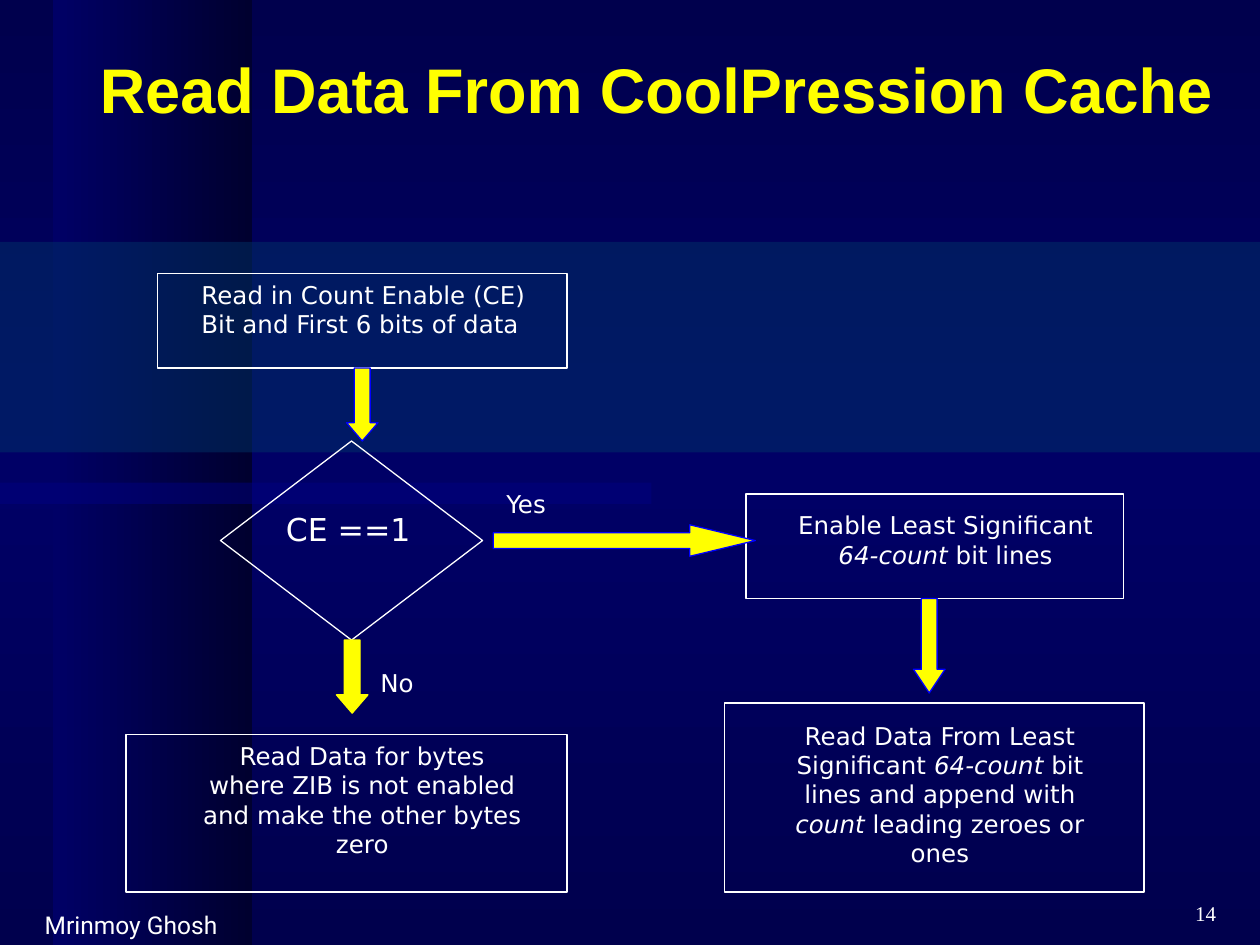
"""Build the flowchart slide on reading data from a CoolPression cache."""
from lxml.etree import SubElement
from pptx import Presentation
from pptx.dml.color import RGBColor
from pptx.enum.shapes import MSO_SHAPE
from pptx.enum.text import MSO_ANCHOR, MSO_AUTO_SIZE, PP_ALIGN
from pptx.oxml.ns import qn
from pptx.util import Inches, Pt

THEME = dict(
    white="FFFFFF", yellow="FFFF00", blue="0000FF", edge="00004D", middle="000066",
    dark="00002F", stripe="000080", band="003366",
    title_font="Arial", body_font="DejaVu Sans", footer_font="Roboto", number_font="Times New Roman",
    title_size=36, decision_size=18, body_size=14, number_size=12, line=0.75,
)

TITLE = "Read Data From CoolPression Cache"
TITLE_AT = (0.33, 0.08, 9.5, 1.25)
COLUMN_AT = (0.42, 0, 1.58, 7.5)
BANDS = [("stripe", (0, 3.83, 5.17, 0.17)), ("band", (0, 1.92, 10, 1.67))]

NODES = [
    (MSO_SHAPE.RECTANGLE, (1.25, 2.17, 3.25, 0.75)),
    (MSO_SHAPE.FLOWCHART_DECISION, (1.75, 3.5, 2.08, 1.58)),
    (MSO_SHAPE.RECTANGLE, (5.92, 3.92, 3, 0.83)),
    (MSO_SHAPE.RECTANGLE, (5.75, 5.58, 3.33, 1.5)),
    (MSO_SHAPE.RECTANGLE, (1, 5.83, 3.5, 1.25)),
]

LEFT, CENTER, RIGHT = PP_ALIGN.LEFT, PP_ALIGN.CENTER, PP_ALIGN.RIGHT
TOP, MIDDLE = MSO_ANCHOR.TOP, MSO_ANCHOR.MIDDLE
ITALIC = {"64-count", "count "}
LABELS = [
    (["Mrinmoy Ghosh"], (0, 7.17, 2.08, 0.34), CENTER, TOP, "footer_font", "body_size"),
    (["Read in Count Enable (CE) Bit and First 6 bits of data"],
     (1.5, 2.17, 2.92, 0.57), LEFT, TOP, "body_font", "body_size"),
    (["CE ==1"], (2.17, 4, 1.25, 0.4), LEFT, TOP, "body_font", "decision_size"),
    (["Enable Least Significant ", "64-count", " bit lines"],
     (6.17, 4, 2.67, 0.57), CENTER, TOP, "body_font", "body_size"),
    (["Read Data From Least Significant ", "64-count", " bit lines and append with ",
      "count ", "leading zeroes or ones"],
     (6, 5.67, 2.92, 1.04), CENTER, TOP, "body_font", "body_size"),
    (["Read Data for bytes where ZIB is not enabled and make the other bytes zero"],
     (1.5, 5.83, 2.75, 1.16), CENTER, TOP, "body_font", "body_size"),
    (["Yes"], (3.92, 3.83, 0.83, 0.34), LEFT, TOP, "body_font", "body_size"),
    (["No"], (2.92, 5.25, 0.67, 0.34), LEFT, TOP, "body_font", "body_size"),
    (["14"], (7.67, 7, 2.08, 0.5), RIGHT, MIDDLE, "number_font", "number_size"),
]

ARROWS = [
    ((4.83, 3.25, 0.25, 2.08), 270, "blue"),
    ((2.75, 2.92, 0.25, 0.58), 0, "blue"),
    ((2.67, 5.08, 0.25, 0.58), 0, "yellow"),
    ((7.25, 4.75, 0.25, 0.75), 0, "blue"),
]


def color(name):
    return RGBColor.from_string(THEME[name])


def inches(at):
    return [Inches(v) for v in at]


def set_gradient(parent, stops, angle):
    """Replace the solid fill of parent with a linear gradient."""
    solid = parent.find(qn("a:solidFill"))
    grad = solid.makeelement(qn("a:gradFill"), {"rotWithShape": "1"})
    parent.replace(solid, grad)
    stop_list = SubElement(grad, qn("a:gsLst"))
    for pos, name in stops:
        stop = SubElement(stop_list, qn("a:gs"), pos=str(pos * 1000))
        SubElement(stop, qn("a:srgbClr"), val=THEME[name])
    SubElement(grad, qn("a:lin"), ang=str(angle * 60000), scaled="0")


def add_shape(s, kind, at, fill=None, line=None):
    """Add a preset shape with an optional fill and outline."""
    sp = s.shapes.add_shape(kind, *inches(at))
    sp.shadow.inherit = False
    if fill:
        sp.fill.solid()
        sp.fill.fore_color.rgb = color(fill)
    else:
        sp.fill.background()
    if line:
        sp.line.color.rgb = color(line)
        sp.line.width = Pt(THEME["line"])
    else:
        sp.line.fill.background()
    return sp


def format_text(tf, align, anchor, font, size, tint, bold=False):
    """Format a text frame and its only paragraph."""
    tf.word_wrap = True
    tf.auto_size = MSO_AUTO_SIZE.NONE
    tf.vertical_anchor = anchor
    p = tf.paragraphs[0]
    p.alignment = align
    for r in p.runs:
        r.font.name = THEME[font]
        r.font.size = Pt(THEME[size])
        r.font.color.rgb = color(tint)
        r.font.bold = bold
        r.font.italic = r.text in ITALIC


def add_backdrop(s):
    """Paint the background, the dark column and the translucent bands."""
    s.background.fill.solid()
    set_gradient(s.element.find(".//" + qn("p:bgPr")),
                 [(0, "edge"), (50, "middle"), (100, "edge")], 90)
    column = add_shape(s, MSO_SHAPE.RECTANGLE, COLUMN_AT, "dark")
    set_gradient(column.element.spPr, [(0, "dark"), (100, "middle")], 180)
    for name, at in BANDS:
        band = add_shape(s, MSO_SHAPE.RECTANGLE, at, name)
        tint = band.element.spPr.find(qn("a:solidFill"))[0]
        SubElement(tint, qn("a:alpha"), val="50000")


def add_title(s):
    """Fill the title placeholder and bring it in front of the backdrop."""
    title = s.shapes.title
    title.left, title.top, title.width, title.height = inches(TITLE_AT)
    title.text_frame.text = TITLE
    format_text(title.text_frame, CENTER, MIDDLE, "title_font", "title_size", "yellow", True)
    pPr = title.text_frame.paragraphs[0].runs[0].font and title.element.find(".//" + qn("a:pPr"))
    pPr.set("marL", str(Inches(0.26)))
    pPr.set("indent", "0")
    title.element.getparent().append(title.element)


def main():
    prs = Presentation()
    prs.slide_width, prs.slide_height = Inches(10), Inches(7.5)
    s = prs.slides.add_slide(prs.slide_layouts[5])
    add_backdrop(s)
    add_title(s)
    for kind, at in NODES:
        add_shape(s, kind, at, line="white")
    for parts, at, align, anchor, font, size in LABELS:
        tf = s.shapes.add_textbox(*inches(at)).text_frame
        for part in parts:
            tf.paragraphs[0].add_run().text = part
        format_text(tf, align, anchor, font, size, "white")
    for at, rotation, line in ARROWS:
        arrow = add_shape(s, MSO_SHAPE.DOWN_ARROW, at, "yellow", line)
        arrow.rotation = rotation
        arrow.adjustments[0] = 0.5
        arrow.adjustments[1] = at[3] / at[2] / 4
    prs.save("out.pptx")


if __name__ == "__main__":
    main()
